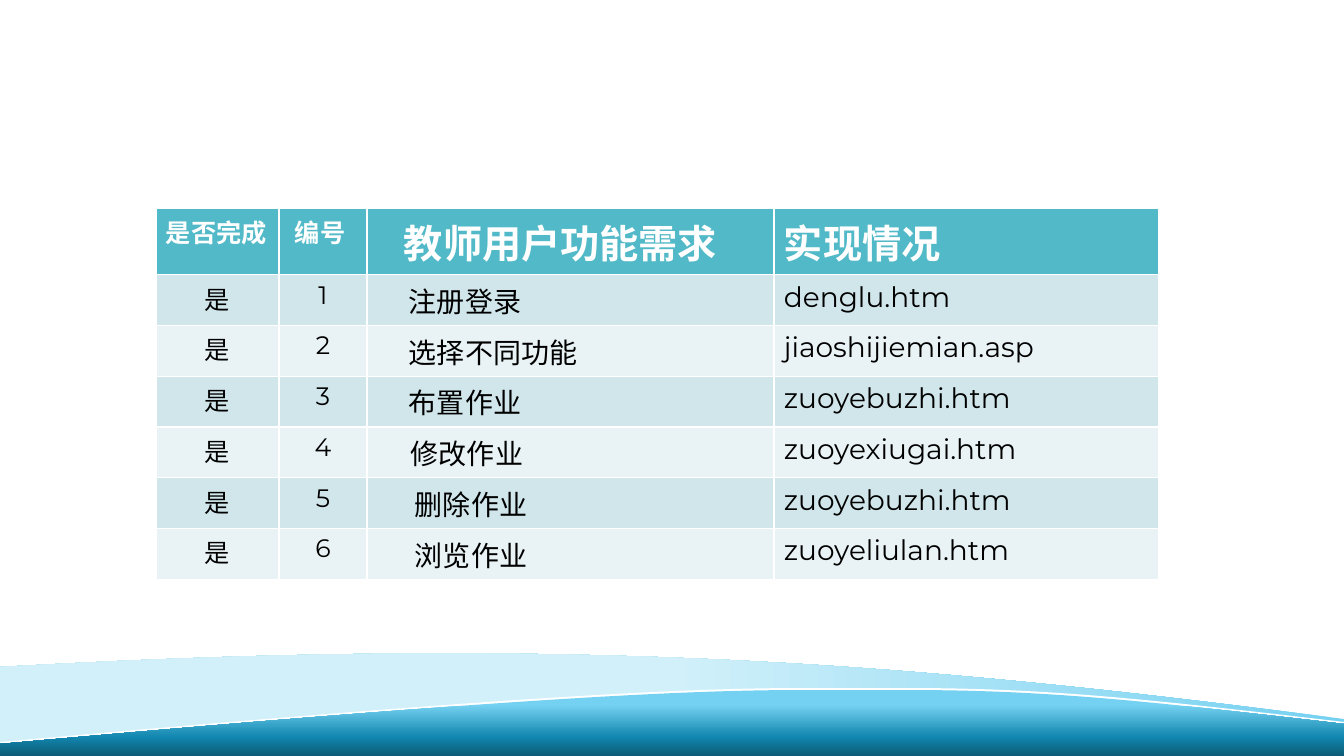
from copy import deepcopy

from lxml import etree
from pptx import Presentation
from pptx import util as u
from pptx.dml.color import RGBColor
from pptx.enum import text
from pptx.oxml.ns import qn

SCALE = 914400 / 100.8
WIDTH, HEIGHT = 1344, 756
FONT = "Montserrat"
COLORS = {
    "white": "FFFFFF", "black": "000000", "header": "51B9C7",
    "band": "D0E6EB", "light band": "E9F3F5",
    "sky": "75D1F1", "pale": "D1F0FA", "sea": "1287AF", "deep": "0C5A75",
}
HEADER = ["是否完成", "编号", "教师用户功能需求", "实现情况"]
HEADER_SIZES = [18, 18, 28, 28]
HEADER_INDENTS = [0, 6, 27, 0]
BODY_SIZES = [18, 18, 20, 20]
# Requirement, its indent, and the page that fulfils it
REQUIREMENTS = [
    ("注册登录", 32, "denglu.htm"),
    ("选择不同功能", 32, "jiaoshijiemian.asp"),
    ("布置作业", 32, "zuoyebuzhi.htm"),
    ("修改作业", 34, "zuoyexiugai.htm"),
    ("删除作业", 38, "zuoyebuzhi.htm"),
    ("浏览作业", 38, "zuoyeliulan.htm"),
]


def px(length):
    return u.Emu(round(length * SCALE))


def color(name):
    return RGBColor.from_string(COLORS[name])


# Wave outlines: a segment is one point (line) or three (cubic curve)
def curves(points):
    return [points[i:i + 3] for i in range(1, len(points), 3)]


def crest(top):
    """Points of the front wave's upper edge, from left to right."""
    return [(0, top + 54), (523, top + 7), (694, top), (804, top),
            (842, top), (872, top), (906, top),
            (1043, top), (1140, top + 10), (WIDTH, top + 34)]


def add_wave(page, top, bottom, start, segments, stops, angle=0):
    builder = page.shapes.build_freeform(0, px(top), scale=1.0)
    builder.add_line_segments([(px(WIDTH), px(top)), (px(WIDTH), px(bottom)),
                               (0, px(bottom))])
    wave = builder.convert_to_shape()
    outline = wave._element.spPr.find(".//" + qn("a:path"))
    for child in list(outline):
        outline.remove(child)
    for index, points in enumerate([[start]] + segments):
        tag = "a:cubicBezTo" if len(points) == 3 else "a:lnTo"
        step = etree.SubElement(outline, qn(tag if index else "a:moveTo"))
        for x, y in points:
            etree.SubElement(step, qn("a:pt"), x=str(px(x)), y=str(px(y - top)))
    etree.SubElement(outline, qn("a:close"))

    wave.shadow.inherit = False
    wave.line.fill.background()
    if len(stops) == 1:
        wave.fill.solid()
        wave.fill.fore_color.rgb = color(stops[0][1])
        return
    wave.fill.gradient()
    wave.fill.gradient_angle = angle
    stop_list = wave._element.spPr.find(".//" + qn("a:gsLst"))
    stop_list.insert(1, deepcopy(stop_list[0]))
    for stop, (position, name) in zip(wave.fill.gradient_stops, stops):
        stop.position = position
        stop.color.rgb = color(name)


def add_waves(page):
    # Pale wave behind
    upper = [(0, 667), (597, 633), (940, 667), (WIDTH, 719)]
    lower = [(WIDTH, 739), (879, 646), (487, 724), (0, 747)]
    add_wave(page, 653, 747, upper[0],
             curves(upper) + [lower[:1]] + curves(lower),
             [(0, "sky"), (0.5, "pale"), (1, "pale")], 180)
    # White ribbon
    upper, lower = crest(688), crest(698)[::-1]
    add_wave(page, 688, 752, upper[0],
             curves(upper) + [lower[:1]] + curves(lower), [(0, "white")])
    # Deep wave in front
    upper = crest(690)
    add_wave(page, 690, HEIGHT, upper[0],
             curves(upper) + [[(WIDTH, HEIGHT)], [(0, HEIGHT)]],
             [(0.23, "sky"), (0.71, "sea"), (1, "deep")], 270)


# Requirements table
def fill_cell(cell, words, size, indent, ink, back, bold, centered):
    cell.fill.solid()
    cell.fill.fore_color.rgb = color(back)
    cell.margin_left = px(10 + indent)
    para = cell.text_frame.paragraphs[0]
    para.text = words
    para.alignment = text.PP_ALIGN.CENTER if centered else text.PP_ALIGN.LEFT
    for span in para.runs:
        span.font.name = FONT
        span.font.size = u.Pt(size)
        span.font.bold = bold
        span.font.color.rgb = color(ink)


def add_requirements(page, left, top, widths, header_height, body_height):
    count = len(REQUIREMENTS)
    table = page.shapes.add_table(
        count + 1, len(widths), px(left), px(top),
        px(sum(widths)), px(header_height + body_height)).table
    for column, width in zip(table.columns, widths):
        column.width = px(width)
    for index, row in enumerate(table.rows):
        row.height = px(body_height / count if index else header_height)

    for column, words in enumerate(HEADER):
        fill_cell(table.cell(0, column), words, HEADER_SIZES[column],
                  HEADER_INDENTS[column], "white", "header", True, False)

    for number, (need, indent, address) in enumerate(REQUIREMENTS, 1):
        back = "band" if number % 2 else "light band"
        for column, words in enumerate(["是", str(number), need, address]):
            fill_cell(table.cell(number, column), words, BODY_SIZES[column],
                      indent if column == 2 else 0, "black", back, False, column < 2)


def main():
    deck = Presentation()
    deck.slide_width, deck.slide_height = px(WIDTH), px(HEIGHT)
    page = deck.slides.add_slide(deck.slide_layouts[6])
    add_waves(page)
    add_requirements(page, 156, 208, [123, 88, 407, 385], 61, 298)
    deck.save("out.pptx")


if __name__ == "__main__":
    main()
